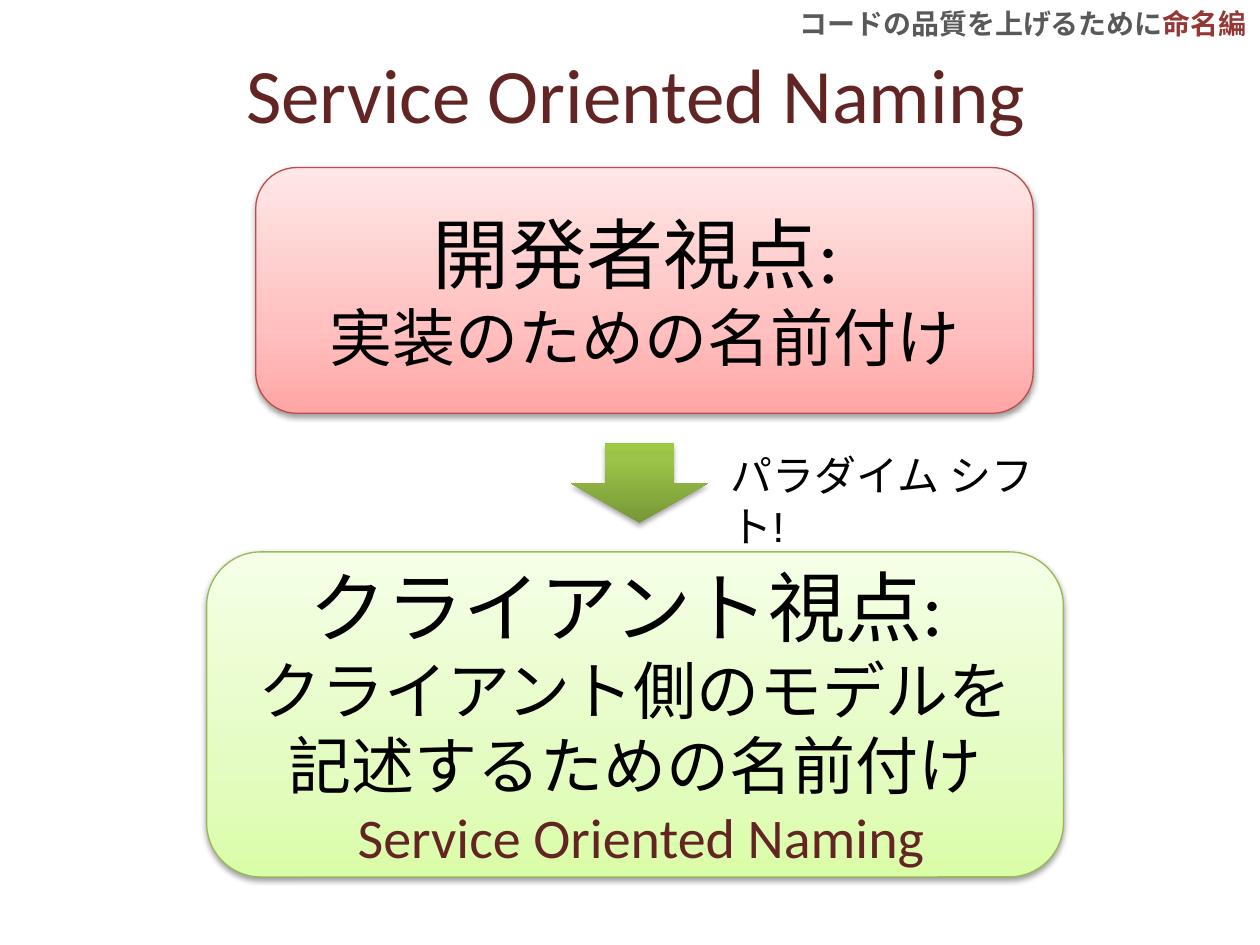
from lxml.etree import SubElement
from pptx import Presentation
from pptx.dml.color import RGBColor
from pptx.enum.shapes import MSO_SHAPE
from pptx.enum.text import MSO_ANCHOR, PP_ALIGN
from pptx.oxml.ns import qn
from pptx.util import Inches, Pt

COLORS = {
    "black": "000000", "gray": "595959", "accent": "953735", "maroon": "632523",
    "red_line": "BF4C48", "green_line": "98B955",
}
GRADIENTS = {
    "red": [(0, "FFA6A5"), (35, "FFC0BF"), (100, "FFE7E7")],
    "green": [(0, "DAFDA7"), (35, "E4FCC2"), (100, "F5FFE7")],
    "arrow": [(0, "779737"), (80, "9BC348"), (100, "9DC746")],
}
SHADOW_BLUR = 3.1

HEADER = [[("コードの品質を上げるために", 16, "gray"), ("命名編", 16, "accent")]]
TITLE = [[("Service Oriented Naming", 44, "maroon")]]
SHIFT = [[("パラダイム シフト!", 24, "black")]]
DEVELOPER = [
    [("開発者視点: ", 44, "black")],
    [("実装のための名前付け", 36, "black")],
]
CLIENT = [
    [("クライアント視点: ", 44, "black")],
    [("クライアント側のモデルを記述するための名前付け", 36, "black")],
    [(" Service Oriented Naming", 32, "maroon")],
]

SHAPES = [
    (MSO_SHAPE.ROUNDED_RECTANGLE, (2.03, 1.33, 6.17, 1.95), "red", "red_line", (38, 1.6), DEVELOPER),
    (MSO_SHAPE.ROUNDED_RECTANGLE, (1.64, 4.38, 6.8, 2.58), "green", "green_line", (38, 1.6), CLIENT),
    (MSO_SHAPE.DOWN_ARROW, (4.53, 3.52, 1.09, 0.63), "arrow", None, (35, 1.8), None),
]
TEXT_BOXES = [
    (HEADER, (6.25, 0, 3.75, 0.37), {"font": "Arial", "bold": True}),
    (SHIFT, (5.7, 3.52, 2.71, 0.5), {"font": "Arial"}),
    (TITLE, (0.55, 0.31, 9, 0.86), {"align": PP_ALIGN.CENTER, "anchor": MSO_ANCHOR.MIDDLE}),
]


def write_text(shape, lines, font="Calibri", bold=False, align=PP_ALIGN.LEFT, anchor=MSO_ANCHOR.TOP):
    frame = shape.text_frame
    frame.word_wrap = True
    frame.vertical_anchor = anchor
    paragraph = frame.paragraphs[0]
    paragraph.alignment = align
    for index, line in enumerate(lines):
        if index:
            paragraph.add_line_break()
        for text, size, color in line:
            run = paragraph.add_run()
            run.text = text
            run.font.name = font
            run.font.size = Pt(size)
            run.font.bold = bold
            run.font.color.rgb = RGBColor.from_string(COLORS[color])


def set_gradient(shape, stops):
    shape.fill.gradient()
    shape.fill.gradient_angle = 90
    stop_list = shape.element.spPr.find(qn("a:gradFill")).find(qn("a:gsLst"))
    for old_stop in list(stop_list):
        stop_list.remove(old_stop)
    for position, color in stops:
        stop = SubElement(stop_list, qn("a:gs"), pos=str(position * 1000))
        SubElement(stop, qn("a:srgbClr"), val=color)


def set_shadow(shape, opacity, distance):
    shape.shadow.inherit = False
    effects = shape.element.spPr.find(qn("a:effectLst"))
    shadow = SubElement(
        effects, qn("a:outerShdw"), blurRad=str(Pt(SHADOW_BLUR)),
        dist=str(Pt(distance)), dir="5400000", rotWithShape="0",
    )
    color = SubElement(shadow, qn("a:srgbClr"), val=COLORS["black"])
    SubElement(color, qn("a:alpha"), val=str(opacity * 1000))


def main():
    presentation = Presentation()
    presentation.slide_width = Inches(10)
    presentation.slide_height = Inches(7.5)
    slide = presentation.slides.add_slide(presentation.slide_layouts[6])

    for kind, box, gradient, line, shadow, lines in SHAPES:
        shape = slide.shapes.add_shape(kind, *map(Inches, box))
        set_gradient(shape, GRADIENTS[gradient])
        if line:
            shape.line.color.rgb = RGBColor.from_string(COLORS[line])
            shape.line.width = Pt(0.75)
        else:
            shape.line.fill.background()
        set_shadow(shape, *shadow)
        if lines:
            write_text(shape, lines, align=PP_ALIGN.CENTER, anchor=MSO_ANCHOR.MIDDLE)

    for lines, box, text_format in TEXT_BOXES:
        write_text(slide.shapes.add_textbox(*map(Inches, box)), lines, **text_format)

    presentation.save("out.pptx")


if __name__ == "__main__":
    main()
